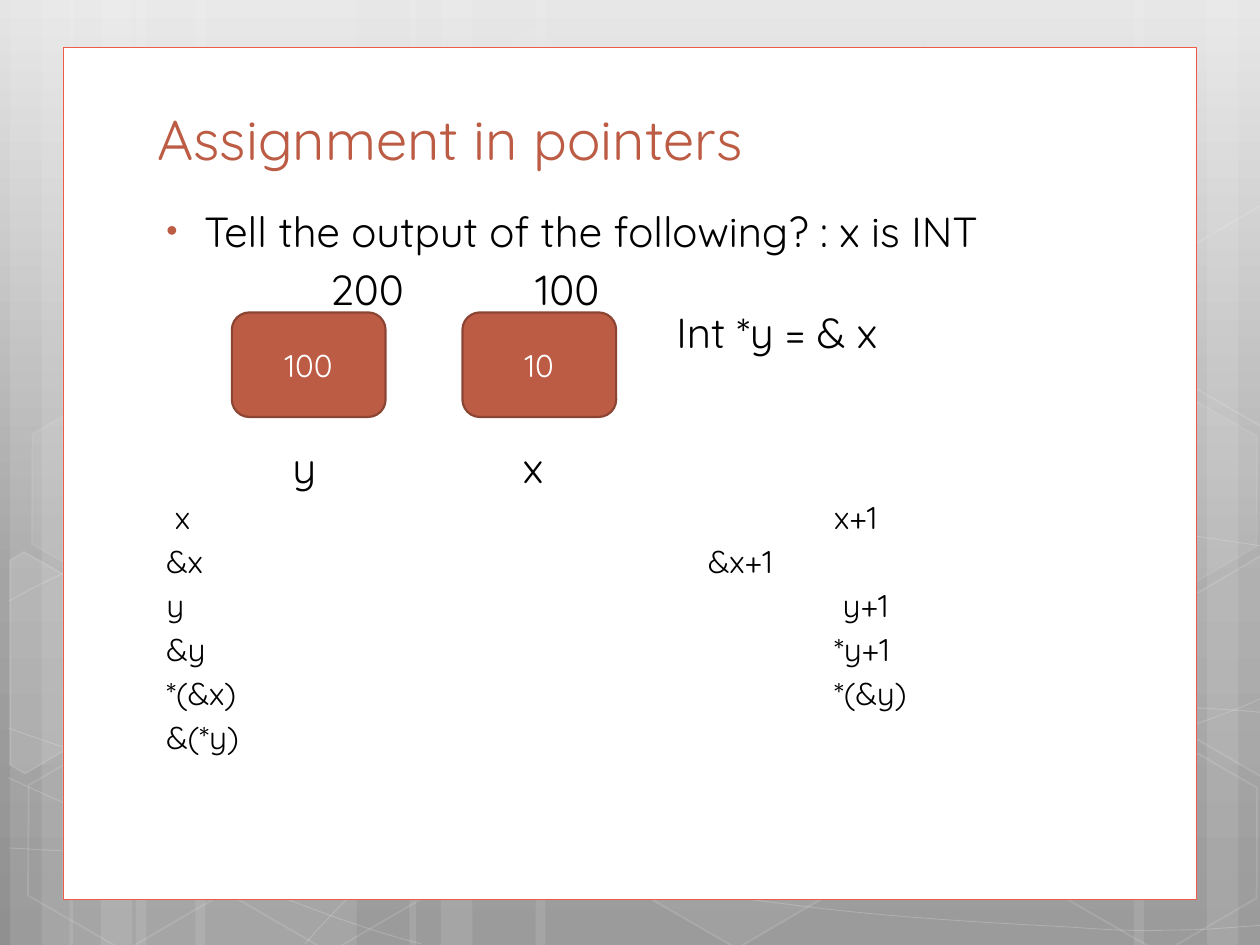
import copy

import pptx
import pptx.dml.color
import pptx.enum.shapes
import pptx.enum.text
import pptx.oxml.ns
import pptx.util
from lxml import etree
from pptx.util import Inches, Pt

RGBColor = pptx.dml.color.RGBColor
Shape = pptx.enum.shapes.MSO_SHAPE
Anchor = pptx.enum.text.MSO_ANCHOR
qn = pptx.oxml.ns.qn

FONT = "Quicksand"
WHITE = RGBColor(0xFF, 0xFF, 0xFF)
BLACK = RGBColor(0x00, 0x00, 0x00)
RUST = RGBColor(0xBD, 0x5C, 0x45)
DARK_RUST = RGBColor(0x8C, 0x44, 0x33)
PANEL_EDGE = RGBColor(0xEF, 0x59, 0x46)
BACKDROP = [
    (0, RGBColor(0xE5, 0xE5, 0xE5)),
    (62, RGBColor(0xA4, 0xA4, 0xA4)),
    (100, RGBColor(0x90, 0x90, 0x90)),
]

TITLE = "Assignment in pointers"
QUESTION = "Tell the output of the following? : x is INT"
DECLARATION = "Int *y = & x"
# text, size, space before, tab stops
BODY = [
    ("\t200\t100", 24, 4.5, [1.3, 2.93]),
    ("\ty\tx", 24, 72.8, [1, 2.83]),
    (" x\tx+1", 18, 3.6, [5.3]),
    ("&x\t&x+1", 18, 3.6, [4.3]),
    ("y\t y+1", 18, 3.6, [5.3]),
    ("&y\t*y+1", 18, 3.6, [5.3]),
    ("*(&x)\t*(&y)", 18, 3.6, [5.3]),
    ("&(*y)", 18, 3.6, []),
]
MEMORY_CELLS = [("100", 1.84), ("10", 3.67)]

BARS = [
    (1.08, 1.75), (0.08, 0.5), (0.33, 0.83), (1.55, 1.75), (0.55, 0.5), (0.8, 0.83),
    (7.33, 1.75), (9.58, 0.5), (9, 0.83), (4.25, 3.08), (3.25, 0.5), (3.5, 0.83),
]
# start point, then two controls and an end point for each segment
CURVES = [
    [(0.07, 6.73), (0.61, 6.76), (1.15, 6.79), (1.9, 6.78), (2.65, 6.77), (3.58, 6.75),
     (4.58, 6.65), (5.58, 6.55), (7, 6.36), (7.92, 6.17), (8.83, 5.98), (9.77, 5.68), (10.07, 5.51)],
    [(0.07, 4.77), (0.36, 4.61), (0.65, 4.46), (1.21, 4.31), (1.78, 4.16), (2.59, 3.94),
     (3.47, 3.87), (4.36, 3.8), (5.44, 3.79), (6.54, 3.87), (7.64, 3.95), (9.47, 4.26), (10.07, 4.34)],
    [(0.06, 6.17), (1.27, 6.72), (2.47, 7.27), (3.34, 7.49)],
    [(0.07, 5.78), (0.38, 5.89), (0.7, 6), (1.28, 6.16), (1.86, 6.31), (2.73, 6.56),
     (3.57, 6.73), (4.4, 6.9), (5.45, 7.08), (6.28, 7.18), (7.11, 7.29), (8, 7.33), (8.53, 7.36),
     (9.05, 7.4), (9.19, 7.38), (9.45, 7.38), (9.71, 7.37), (9.89, 7.35), (10.07, 7.34)],
    [(2.42, 7.49), (2.6, 7.29), (2.78, 7.09), (3.02, 6.91), (3.26, 6.73), (3.6, 6.53),
     (3.88, 6.39), (4.16, 6.25), (4.33, 6.19), (4.7, 6.09), (5.06, 5.99), (5.73, 5.85), (6.08, 5.78),
     (6.44, 5.71), (6.49, 5.71), (6.8, 5.69), (7.11, 5.66), (7.6, 5.63), (7.94, 5.62),
     (8.29, 5.61), (8.86, 5.62), (8.86, 5.62), (9.08, 5.62), (9.31, 5.62), (9.53, 5.62),
     (9.71, 5.63), (9.88, 5.64), (9.97, 5.65), (10.06, 5.66), (10.03, 5.65), (10.06, 5.66)],
]
# left, top, fill opacity, line opacity
HEXAGONS = [
    (3.34, 0.36, 4, 8), (4.97, 5.89, 6, 12), (0.11, 5.91, 0, 12), (0.14, 3.12, 7, 8),
    (1.74, 5.92, 0, 12), (7.53, 4.53, 10, 12), (8.34, 5.93, 0, 12), (8.34, 3.14, 7, 8),
]
# points, fill opacity
CUT_HEXAGONS = [
    ([(0.08, 4.45), (0.19, 4.38), (0.96, 4.82), (0.95, 5.7), (0.2, 6.14), (0.08, 6.07)], 10),
    ([(9.26, 4.85), (10.01, 4.41), (10.09, 4.46), (10.09, 6.13), (10.02, 6.17), (9.26, 5.73)], 4),
    ([(9.26, 2.07), (10.01, 1.63), (10.1, 1.68), (10.09, 3.35), (10.02, 3.39), (9.26, 2.95)], 0),
]


def set_opacity(part, percent):
    color = part.find(".//" + qn("a:srgbClr"))
    etree.SubElement(color, qn("a:alpha")).set("val", str(percent * 1000))


def style(shape, fill=None, line=None, width=0.5, fill_opacity=100, line_opacity=100):
    shape.shadow.inherit = False
    properties = shape.element.spPr
    if fill is None or fill_opacity == 0:
        shape.fill.background()
    else:
        shape.fill.solid()
        shape.fill.fore_color.rgb = fill
        if fill_opacity < 100:
            set_opacity(properties.find(qn("a:solidFill")), fill_opacity)
    if line is None:
        shape.line.fill.background()
    else:
        shape.line.color.rgb = line
        shape.line.width = Pt(width)
        if line_opacity < 100:
            set_opacity(properties.find(qn("a:ln")), line_opacity)


def add_box(slide, kind, left, top, width, height):
    return slide.shapes.add_shape(kind, Inches(left), Inches(top), Inches(width), Inches(height))


def add_outline(slide, points, close):
    corners = [(Inches(x), Inches(y)) for x, y in points]
    builder = slide.shapes.build_freeform(*corners[0])
    builder.add_line_segments(corners[1:], close=close)
    return builder.convert_to_shape()


def add_curve(slide, points):
    curve = add_outline(slide, points, False)
    segments = curve.element.findall(".//" + qn("a:lnTo"))
    for i in range(0, len(segments), 3):
        bend = etree.Element(qn("a:cubicBezTo"))
        segments[i].addprevious(bend)
        for segment in segments[i:i + 3]:
            bend.append(segment[0])
            segment.getparent().remove(segment)
    return curve


def add_text(slide, left, top, width, height, wrap=True):
    frame = slide.shapes.add_textbox(
        Inches(left), Inches(top), Inches(width), Inches(height)).text_frame
    frame.word_wrap = wrap
    return frame


def write(paragraph, text, size, color):
    paragraph.text = text
    paragraph.font.name = FONT
    paragraph.font.size = Pt(size)
    paragraph.font.color.rgb = color


def add_backdrop(slide):
    fill = slide.background.fill
    fill.gradient()
    fill.gradient_angle = 270
    stop_list = slide.element.find(".//" + qn("a:gsLst"))
    stop_list.append(copy.deepcopy(stop_list[-1]))
    for stop, (position, color) in zip(fill.gradient_stops, BACKDROP):
        stop.position = position / 100
        stop.color.rgb = color
    for left, width in BARS:
        style(add_box(slide, Shape.RECTANGLE, left, 0, width, 7.5), WHITE, fill_opacity=10)
    for points in CURVES:
        style(add_curve(slide, points), line=WHITE, line_opacity=20)
    for left, top, fill_opacity, line_opacity in HEXAGONS:
        hexagon = add_box(slide, Shape.HEXAGON, left, top, 1.75, 1.52)
        hexagon.adjustments[0] = 0.285
        hexagon.rotation = 30
        style(hexagon, WHITE, WHITE, 1, fill_opacity, line_opacity)
    for points, fill_opacity in CUT_HEXAGONS:
        style(add_outline(slide, points, True), WHITE, WHITE, 1, fill_opacity, 12)
    style(add_box(slide, Shape.RECTANGLE, 0.5, 0.38, 9, 6.76), WHITE, PANEL_EDGE)


def add_bullet(paragraph):
    properties = paragraph._p.get_or_add_pPr()
    properties.set("marL", str(Inches(0.3)))
    properties.set("indent", str(-Inches(0.3)))
    color = etree.Element(qn("a:buClr"))
    etree.SubElement(color, qn("a:srgbClr")).set("val", str(RUST))
    size = etree.Element(qn("a:buSzPct"), val="76000")
    font = etree.Element(qn("a:buFont"), typeface="Arial")
    mark = etree.Element(qn("a:buChar"), char="•")
    for position, part in enumerate((color, size, font, mark)):
        properties.insert(position, part)


def add_tabs(paragraph, stops):
    tabs = etree.Element(qn("a:tabLst"))
    for stop in stops:
        etree.SubElement(tabs, qn("a:tab"), pos=str(Inches(stop)), algn="l")
    paragraph._p.get_or_add_pPr().find(qn("a:defRPr")).addprevious(tabs)


def add_content(slide):
    title = add_text(slide, 1.15, 0.79, 7.86, 0.62)
    title.vertical_anchor = Anchor.BOTTOM
    write(title.paragraphs[0], TITLE, 32, RUST)

    body = add_text(slide, 1.14, 1.58, 7.86, 4.8)
    body.margin_left = Inches(0.18)
    write(body.paragraphs[0], QUESTION, 24, BLACK)
    add_bullet(body.paragraphs[0])
    for text, size, gap, stops in BODY:
        paragraph = body.add_paragraph()
        write(paragraph, text, size, BLACK)
        paragraph.space_before = Pt(gap)
        if stops:
            add_tabs(paragraph, stops)

    for value, left in MEMORY_CELLS:
        cell = add_box(slide, Shape.ROUNDED_RECTANGLE, left, 2.48, 1.22, 0.83)
        style(cell, RUST, DARK_RUST, 1.25)
        cell.text_frame.vertical_anchor = Anchor.MIDDLE
        write(cell.text_frame.paragraphs[0], value, 18, WHITE)
        cell.text_frame.paragraphs[0].alignment = pptx.enum.text.PP_ALIGN.CENTER

    declaration = add_text(slide, 5.27, 2.38, 1.91, 0.5, wrap=False)
    declaration.auto_size = pptx.enum.text.MSO_AUTO_SIZE.SHAPE_TO_FIT_TEXT
    write(declaration.paragraphs[0], DECLARATION, 24, BLACK)


def main():
    deck = pptx.Presentation()
    deck.slide_width, deck.slide_height = Inches(10), Inches(7.5)
    slide = deck.slides.add_slide(deck.slide_layouts[6])
    add_backdrop(slide)
    add_content(slide)
    deck.save("out.pptx")


if __name__ == "__main__":
    main()
